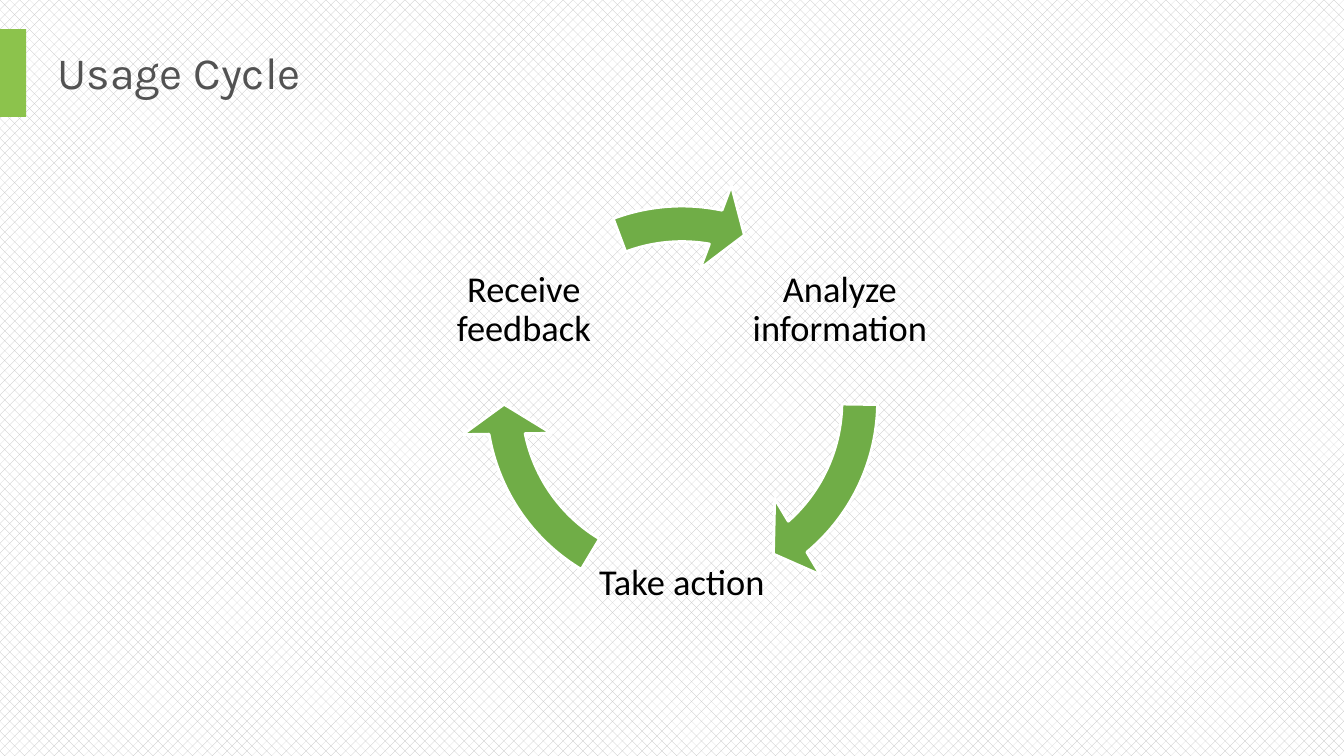
import math
from dataclasses import dataclass

import pptx
import pptx.dml.color
import pptx.enum.dml
import pptx.enum.shapes
import pptx.enum.text
import pptx.util

COLORS = {
    "paper": "FFFFFF",
    "hatch": "BFBFBF",
    "accent": "8CC34C",
    "title": "525252",
    "label": "000000",
    "arrow": "70AD47",
}
SLIDE_W = pptx.util.Inches(13.333)
SLIDE_H = pptx.util.Inches(7.5)


@dataclass
class Box:
    left: int
    top: int
    width: int
    height: int

    def args(self) -> tuple[int, int, int, int]:
        return self.left, self.top, self.width, self.height


@dataclass
class Step:
    text: str
    label_angle: float
    arrow_start: float
    arrow_end: float


STEPS = [
    Step("Analyze information", -30, 0.85, 49.42),
    Step("Take action", 90, 120.99, 169.55),
    Step("Receive feedback", 210, 249.44, 280.96),
]


def across(percent: float) -> int:
    return round(SLIDE_W * percent / 100)


def down(percent: float) -> int:
    return round(SLIDE_H * percent / 100)


CENTER_X, CENTER_Y = across(50.74), down(53.13)
LABEL_ORBIT = down(24.13)
LABEL_SIZE = down(24.93)
RING_SIZE = down(58.8)


def rgb(name: str) -> pptx.dml.color.RGBColor:
    return pptx.dml.color.RGBColor.from_string(COLORS[name])


def square(x: int, y: int, size: int) -> Box:
    return Box(x - size // 2, y - size // 2, size, size)


def add_text(slide, box: Box, text: str, font: str, size: float, color: str):
    tf = slide.shapes.add_textbox(*box.args()).text_frame
    tf.text = text
    tf.word_wrap = True
    tf.vertical_anchor = pptx.enum.text.MSO_ANCHOR.MIDDLE
    r = tf.paragraphs[0].runs[0]
    r.font.name = font
    r.font.size = pptx.util.Pt(size)
    r.font.color.rgb = rgb(color)
    return tf


def add_solid(slide, kind: pptx.enum.shapes.MSO_SHAPE, box: Box, color: str):
    sp = slide.shapes.add_shape(kind, *box.args())
    sp.shadow.inherit = False
    sp.fill.solid()
    sp.fill.fore_color.rgb = rgb(color)
    sp.line.fill.background()
    return sp


def add_label(slide, step: Step) -> None:
    angle = math.radians(step.label_angle)
    x = CENTER_X + round(LABEL_ORBIT * math.cos(angle))
    y = CENTER_Y + round(LABEL_ORBIT * math.sin(angle))
    tf = add_text(slide, square(x, y, LABEL_SIZE), step.text, "Calibri", 26, "label")
    inset = pptx.util.Inches(0.04)
    tf.margin_left = tf.margin_right = tf.margin_top = tf.margin_bottom = inset
    p = tf.paragraphs[0]
    p.alignment = pptx.enum.text.PP_ALIGN.CENTER
    p.line_spacing = 0.9


def add_arrow(slide, step: Step) -> None:
    sp = add_solid(
        slide,
        pptx.enum.shapes.MSO_SHAPE.CIRCULAR_ARROW,
        square(CENTER_X, CENTER_Y, RING_SIZE),
        "arrow",
    )
    sp.line.color.rgb = rgb("paper")
    sp.line.width = pptx.util.Pt(2)
    per_degree = 0.6
    head_angle = 9.6
    values = (
        0.08,
        head_angle * per_degree,
        step.arrow_end * per_degree,
        step.arrow_start * per_degree,
        0.1,
    )
    for i, value in enumerate(values):
        sp.adjustments[i] = value


def main() -> None:
    prs = pptx.Presentation()
    prs.slide_width, prs.slide_height = SLIDE_W, SLIDE_H
    slide = prs.slides.add_slide(prs.slide_layouts[6])

    fill = slide.background.fill
    fill.patterned()
    fill.pattern = pptx.enum.dml.MSO_PATTERN.PERCENT_30
    fill.fore_color.rgb = rgb("hatch")
    fill.back_color.rgb = rgb("paper")

    bar = Box(0, down(3.87), across(1.95), down(11.6))
    add_solid(slide, pptx.enum.shapes.MSO_SHAPE.RECTANGLE, bar, "accent")
    title = Box(across(3.53), down(3.87), across(70.88), down(11.33))
    add_text(slide, title, "Usage Cycle", "Karla", 32, "title")

    for step in STEPS:
        add_label(slide, step)
        add_arrow(slide, step)

    prs.save("out.pptx")


if __name__ == "__main__":
    main()
